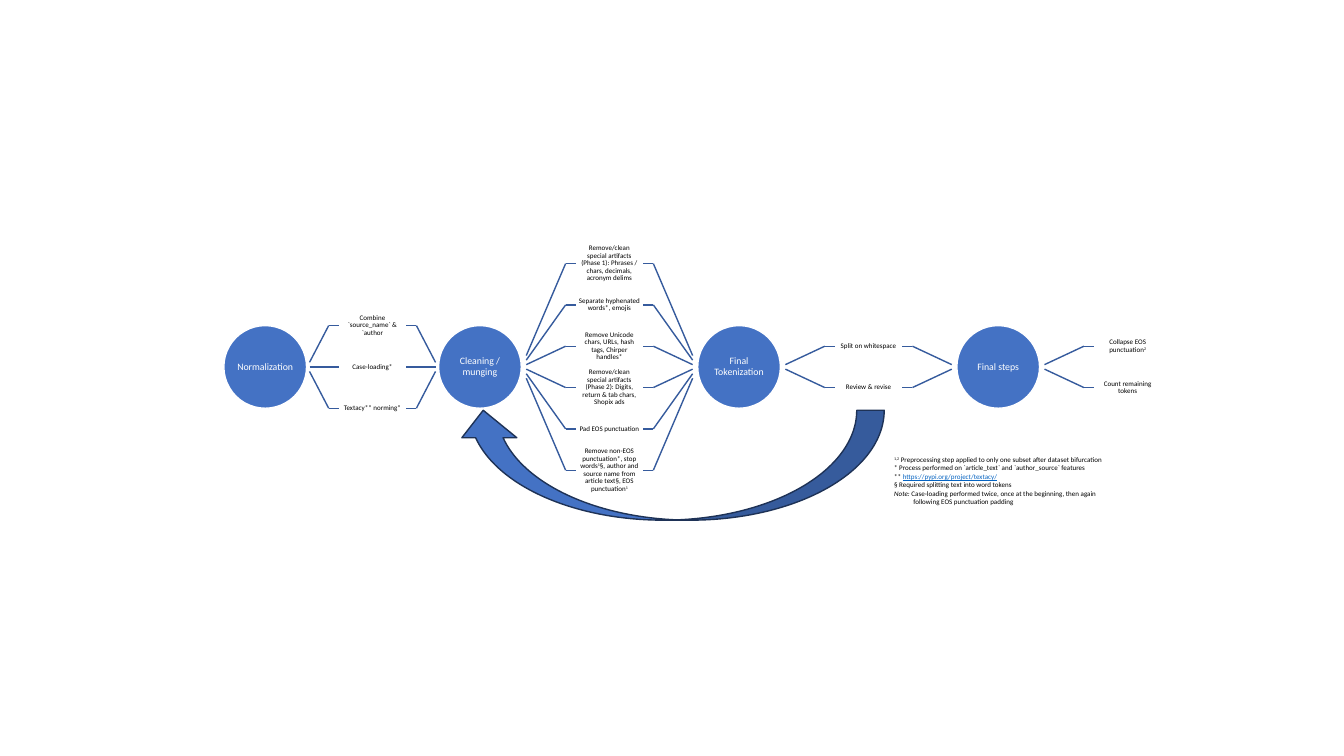
"""Build the text preprocessing pipeline slide."""
from pptx import Presentation, util as u
from pptx.dml.color import RGBColor
from pptx.enum import shapes, text

STAGES = [
    ("Normalization", 0.03, 0.19, [
        ["Combine `source_name` & `author"],
        ["Case-loading*"],
        ["Textacy** norming*"]]),
    ("Cleaning / munging", 0.05, 0.39, [
        ["Remove/clean special artifacts (Phase 1): Phrases / chars, decimals, acronym delims"],
        ["Separate hyphenated words*, emojis"],
        ["Remove Unicode chars, URLs, hash tags, Chirper handles*"],
        ["Remove/clean special artifacts (Phase 2): Digits, return & tab chars, Shopix ads"],
        ["Pad EOS punctuation"],
        ["Remove non-EOS punctuation*, stop words", ("1", "super"),
         "§, author and source name from article text§, EOS punctuation", ("1", "super")]]),
    ("Final Tokenization", 0.05, 0.39, [
        ["Split on whitespace"],
        ["Review & revise"]]),
    ("Final steps", 0.05, 0.39, [
        ["Collapse EOS punctuation", ("2", "super")],
        ["Count remaining tokens"]]),
]
NOTES = [
    (0.38, [("1,2", "super"),
            " Preprocessing step applied to only one subset after dataset bifurcation"]),
    (0.38, ["* Process performed on `article_text` and `author_source` features"]),
    (0.38, ["** ", ("https://pypi.org/project/textacy/", "link")]),
    (0.38, ["§ Required splitting text into word tokens"]),
    (0.19, [("Note:", "italic"),
            " Case-loading performed twice, once at the beginning, then again "
            "following EOS punctuation padding"]),
]
BLUE, SPOKE, EDGE, LINK = "4472C4", "365B9D", "1E3256", "0563C1"
START, MIDDLE, CIRCLE = 2.22, 3.64, 0.82
ROW, FAN, STUB, LABEL = 0.41, 0.045, 0.1, 0.67


def color(value):
    return RGBColor.from_string(value)


def write(box, paragraphs, size=5, ink="000000", align=text.PP_ALIGN.CENTER,
          anchor=text.MSO_ANCHOR.MIDDLE, inset=(0, 0), spacing=0.9):
    """Fill a shape with paragraphs given as (hanging indent, spans)."""
    frame = box.text_frame
    frame.word_wrap = True
    frame.vertical_anchor = anchor
    frame.margin_left = frame.margin_right = u.Inches(inset[0])
    frame.margin_top = frame.margin_bottom = u.Inches(inset[1])
    for index, (hang, spans) in enumerate(paragraphs):
        para = frame.add_paragraph() if index else frame.paragraphs[0]
        para.alignment = align
        para.line_spacing = spacing
        if hang:
            properties = para._p.get_or_add_pPr()
            properties.set("marL", str(u.Inches(hang)))
            properties.set("indent", str(-u.Inches(hang)))
        for item in spans:
            words, style = (item, None) if isinstance(item, str) else item
            span = para.add_run()
            span.text = words
            font = span.font
            font.name, font.size = "Calibri", u.Pt(size)
            font.color.rgb = color(LINK if style == "link" else ink)
            if style == "link":
                font.underline = True
            elif style == "italic":
                font.italic = True
            elif style == "super":
                span._r.get_or_add_rPr().set("baseline", "30000")


def add_shape(page, kind, area, edge):
    shape = page.shapes.add_shape(kind, *map(u.Inches, area))
    shape.shadow.inherit = False
    shape.fill.solid()
    shape.fill.fore_color.rgb = color(BLUE)
    shape.line.color.rgb = color(edge)
    shape.line.width = u.Pt(1)
    return shape


def add_line(page, *ends):
    line = page.shapes.add_connector(shapes.MSO_CONNECTOR.STRAIGHT, *map(u.Inches, ends))
    line.line.color.rgb = color(SPOKE)
    line.line.width = u.Pt(1)
    line._element.spPr.get_or_add_ln().addnext(
        line._element.makeelement(
            "{http://schemas.openxmlformats.org/drawingml/2006/main}effectLst", {}))


def add_text(page, area, paragraphs, **options):
    box = page.shapes.add_textbox(*map(u.Inches, area))
    write(box, paragraphs, **options)


def add_stage(page, left, stage, last):
    """Draw a circle with its branches and return the next circle's left."""
    title, gap, reach, steps = stage
    circle = add_shape(page, shapes.MSO_SHAPE.OVAL,
                       (left, MIDDLE - CIRCLE / 2, CIRCLE, CIRCLE), "FFFFFF")
    write(circle, [(0, [title])], size=7, ink="FFFFFF")
    tip = left + CIRCLE + gap
    elbow = tip + reach
    label = elbow + STUB
    label_end = label + LABEL
    end_elbow = label_end + STUB
    end_tip = end_elbow + reach
    for index, spans in enumerate(steps):
        offset = index - (len(steps) - 1) / 2
        row, root = MIDDLE + offset * ROW, MIDDLE + offset * FAN
        add_line(page, tip, root, elbow, row)
        add_line(page, elbow, row, label, row)
        add_text(page, (label, row - ROW / 2, LABEL, ROW), [(0, spans)], inset=(0.03, 0.03))
        if not last:
            add_line(page, label_end, row, end_elbow, row)
            add_line(page, end_elbow, row, end_tip, root)
    return end_tip + gap


deck = Presentation()
deck.slide_width, deck.slide_height = u.Inches(13.33), u.Inches(7.5)
page = deck.slides.add_slide(deck.slide_layouts[6])

left = START
for stage in STAGES:
    left = add_stage(page, left, stage, stage is STAGES[-1])

loop = add_shape(page, shapes.MSO_SHAPE.CURVED_UP_ARROW, (4.52, 4.07, 4.25, 1.09), EDGE)
loop._element.spPr.get_or_add_xfrm().set("flipH", "1")
add_text(page, (8.77, 4.47, 2.28, 0.69), NOTES, align=text.PP_ALIGN.LEFT,
         anchor=text.MSO_ANCHOR.TOP, inset=(0.1, 0.05), spacing=1.0)

deck.save("out.pptx")
